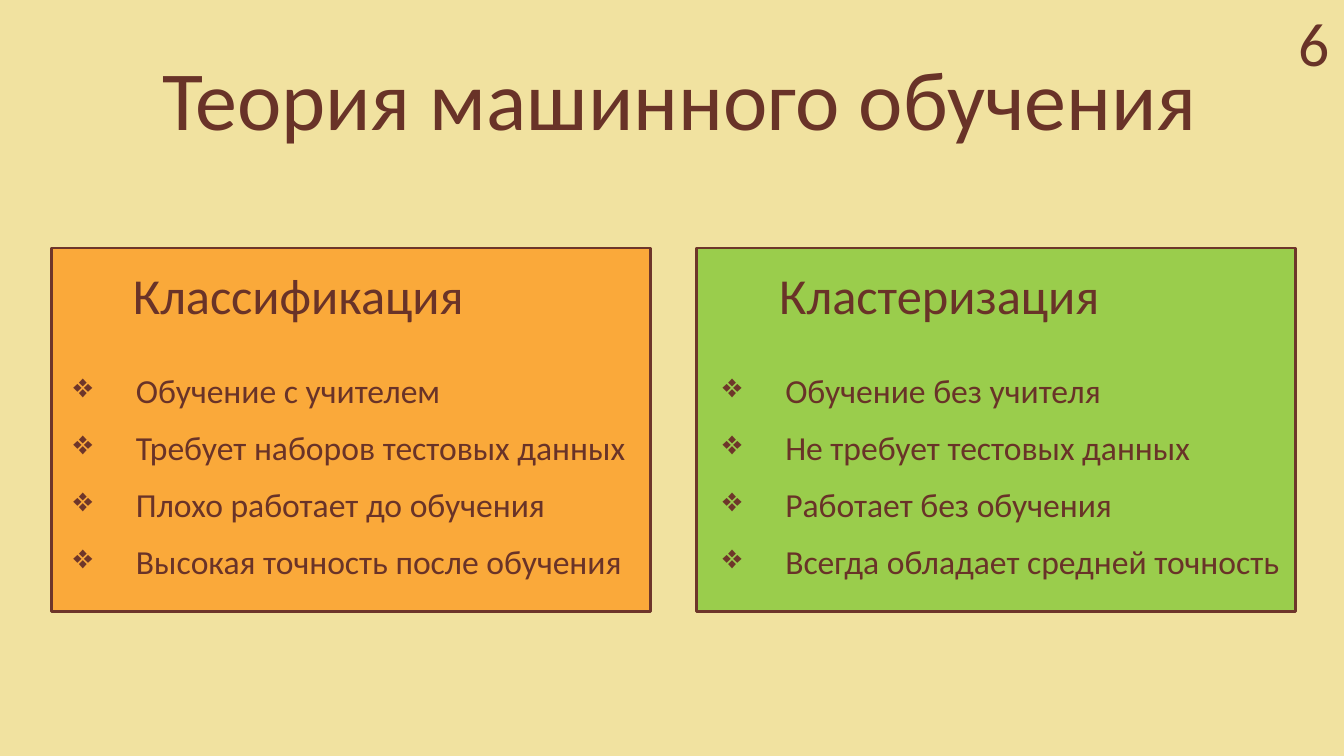
from dataclasses import dataclass

from lxml.etree import SubElement
from pptx import Presentation
from pptx.dml.color import RGBColor
from pptx.enum.shapes import MSO_SHAPE
from pptx.enum.text import PP_ALIGN
from pptx.oxml.ns import qn
from pptx.slide import Slide
from pptx.text.text import TextFrame, _Paragraph
from pptx.util import Inches, Pt

COLORS = {
    "background": "F1E2A0",
    "text": "693328",
    "border": "6E362A",
    "orange": "FAA93A",
    "green": "9ACD4C",
}
FONT = "Calibri"
CARD_TOP, CARD_WIDTH, CARD_HEIGHT = 2.46, 5.94, 3.61
HEADING_TOP, LIST_TOP = 2.57, 3.45
LIST_INDENT = 0.62


@dataclass(frozen=True)
class Approach:
    """A learning approach shown as a coloured card."""

    heading: str
    features: tuple[str, ...]
    fill: str
    card_left: float
    heading_left: float
    list_left: float


APPROACHES = (
    Approach(
        "Классификация",
        (
            "Обучение с учителем",
            "Требует наборов тестовых данных",
            "Плохо работает до обучения",
            "Высокая точность после обучения",
        ),
        "orange", 0.51, 1.22, 0.63,
    ),
    Approach(
        "Кластеризация",
        (
            "Обучение без учителя",
            "Не требует тестовых данных",
            "Работает без обучения",
            "Всегда обладает средней точность",
        ),
        "green", 6.91, 7.63, 7.07,
    ),
)


def color(name: str) -> RGBColor:
    """Return the named palette colour."""
    return RGBColor.from_string(COLORS[name])


def add_text(slide: Slide, text: str, left: float, top: float, width: float,
             height: float, size: int,
             align: PP_ALIGN = PP_ALIGN.JUSTIFY) -> TextFrame:
    """Add a wrapped text box and format its paragraphs."""
    frame = slide.shapes.add_textbox(
        Inches(left), Inches(top), Inches(width), Inches(height)).text_frame
    frame.word_wrap = True
    frame.text = text
    for paragraph in frame.paragraphs:
        paragraph.alignment = align
        for run in paragraph.runs:
            run.font.name = FONT
            run.font.size = Pt(size)
            run.font.color.rgb = color("text")
    return frame


def add_bullet(paragraph: _Paragraph) -> None:
    """Give a paragraph a hanging diamond bullet."""
    paragraph.line_spacing = Pt(40.8)
    properties = paragraph._p.get_or_add_pPr()
    properties.set("marL", str(Inches(LIST_INDENT)))
    properties.set("indent", str(-Inches(LIST_INDENT)))
    bullet_color = SubElement(properties, qn("a:buClr"))
    SubElement(bullet_color, qn("a:srgbClr"), val=COLORS["border"])
    SubElement(properties, qn("a:buChar"), char="❖")


def add_approach(slide: Slide, approach: Approach) -> None:
    """Draw a card with its heading and feature list."""
    card = slide.shapes.add_shape(
        MSO_SHAPE.RECTANGLE, Inches(approach.card_left), Inches(CARD_TOP),
        Inches(CARD_WIDTH), Inches(CARD_HEIGHT))
    card.shadow.inherit = False
    card.fill.solid()
    card.fill.fore_color.rgb = color(approach.fill)
    card.line.color.rgb = color("border")
    card.line.width = Pt(2)
    add_text(slide, approach.heading, approach.heading_left, HEADING_TOP,
             3.55, 0.71, 36)
    features = add_text(slide, "\n".join(approach.features),
                        approach.list_left, LIST_TOP, 6.43, 2.4, 24)
    for paragraph in features.paragraphs:
        add_bullet(paragraph)


def main() -> None:
    """Build and save the slide."""
    presentation = Presentation()
    presentation.slide_width = Inches(13.33)
    presentation.slide_height = Inches(7.5)
    slide = presentation.slides.add_slide(presentation.slide_layouts[6])
    slide.background.fill.solid()
    slide.background.fill.fore_color.rgb = color("background")
    add_text(slide, "Теория машинного обучения", 1.22, 0.41, 11.04, 1.11, 60,
             PP_ALIGN.CENTER)
    for approach in APPROACHES:
        add_approach(slide, approach)
    add_text(slide, "6", 12.78, 0, 0.55, 0.84, 44)
    presentation.save("out.pptx")


if __name__ == "__main__":
    main()
